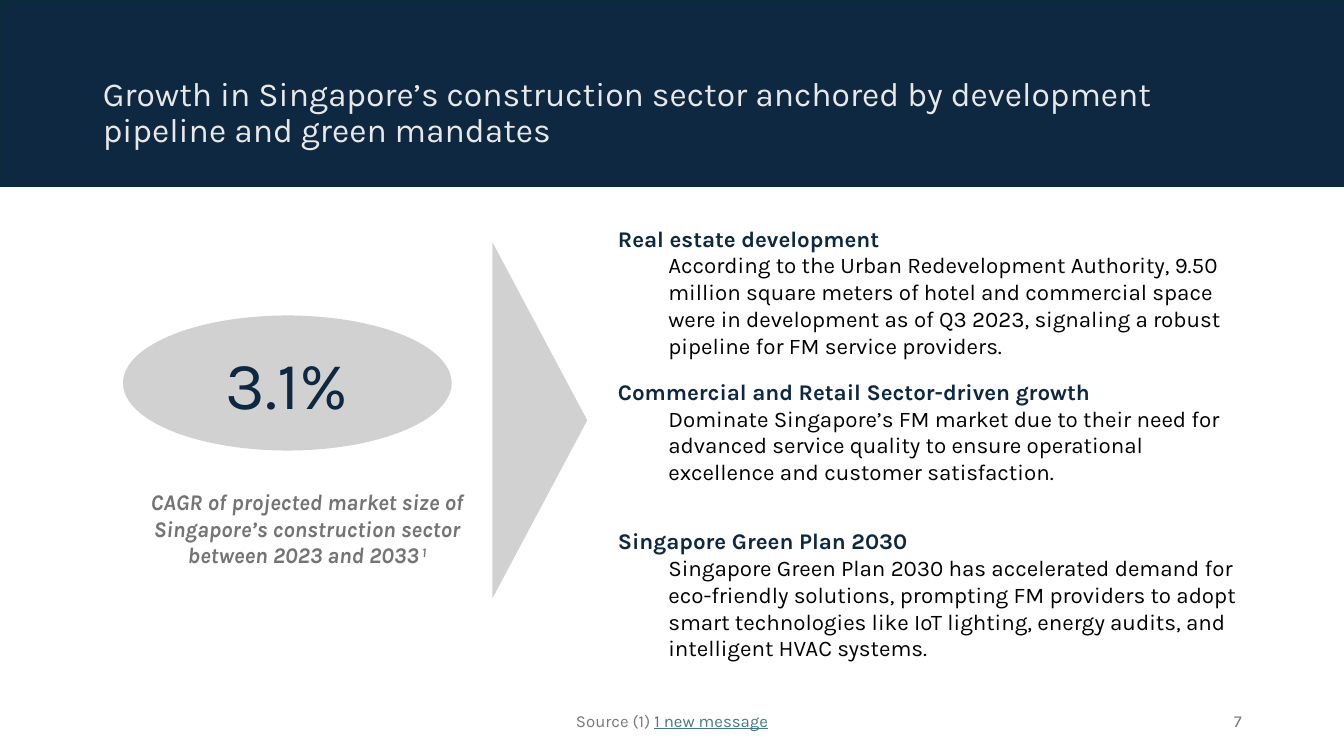
"""Build a slide on the growth drivers of Singapore's construction sector."""
from pptx import Presentation
from pptx.dml.color import RGBColor
from pptx.enum.shapes import MSO_SHAPE
from pptx.enum.text import MSO_ANCHOR, MSO_AUTO_SIZE, PP_ALIGN
from pptx.util import Inches, Pt

NAVY = RGBColor(0x0E, 0x28, 0x41)
BAND_EDGE = RGBColor(0x09, 0x2A, 0x39)
PALE = RGBColor(0xE8, 0xE8, 0xE8)
SILVER = RGBColor(0xD1, 0xD1, 0xD1)
CAPTION_GREY = RGBColor(0x74, 0x74, 0x74)
FOOTER_GREY = RGBColor(0x79, 0x79, 0x79)
LINK_TEAL = RGBColor(0x46, 0x78, 0x86)
BLACK = RGBColor(0, 0, 0)
RECTANGLE, OVAL, TRIANGLE = MSO_SHAPE.RECTANGLE, MSO_SHAPE.OVAL, MSO_SHAPE.ISOSCELES_TRIANGLE
LEFT, CENTER, RIGHT = PP_ALIGN.LEFT, PP_ALIGN.CENTER, PP_ALIGN.RIGHT
MIDDLE, TOP = MSO_ANCHOR.MIDDLE, MSO_ANCHOR.TOP
FIXED = MSO_AUTO_SIZE.NONE

deck = Presentation()
deck.slide_width, deck.slide_height = Inches(13.33), Inches(7.5)
page = deck.slides.add_slide(deck.slide_layouts[5])


def area(left, top, width, height):
    """Turn percentages of the slide into lengths."""
    sides = (deck.slide_width, deck.slide_height) * 2
    return [int(side * share / 100) for side, share in zip(sides, (left, top, width, height))]


def add_span(para, text, size, colour, bold=False):
    """Append a formatted run to a paragraph."""
    span = para.add_run()
    span.text = text
    span.font.name, span.font.size, span.font.bold = "Karla", Pt(size), bold
    span.font.color.rgb = colour
    return span


title = page.shapes.title
title.left, title.top, title.width, title.height = area(6.9, 5.33, 86.25, 19.33)
title.text_frame.auto_size = FIXED
title.text_frame.vertical_anchor = MIDDLE
title_para = title.text_frame.paragraphs[0]
title_para.alignment, title_para.line_spacing = LEFT, 0.9
add_span(title_para, "Growth in Singapore’s construction sector anchored by "
         "development pipeline and green mandates", 24, PALE)

figures = {}
for name, kind, place, fill in (
    ("band", RECTANGLE, (0, 0, 100, 24.67), NAVY),
    ("arrow", TRIANGLE, (26.93, 49.33, 26.48, 12.53), SILVER),
    ("growth", OVAL, (9.15, 41.73, 24.46, 17.87), SILVER),
):
    figure = page.shapes.add_shape(kind, *area(*place))
    figure.shadow.inherit = False
    figure.fill.solid()
    figure.fill.fore_color.rgb = fill
    figure.line.fill.background()
    figures[name] = figure

figures["band"].line.color.rgb = BAND_EDGE
figures["band"].line.width = Pt(1.5)
title.element.addprevious(figures["band"].element)
figures["arrow"].rotation = 90
figures["growth"].text_frame.vertical_anchor = MIDDLE
growth_para = figures["growth"].text_frame.paragraphs[0]
growth_para.alignment = CENTER
add_span(growth_para, "3.1%", 48, NAVY)

labels = []
for place, align, anchor in (
    ((9.83, 63.87, 26.03, 12.13), CENTER, TOP),
    ((33.13, 92.67, 33.75, 5.33), CENTER, MIDDLE),
    ((70.63, 92.67, 22.5, 5.33), RIGHT, MIDDLE),
):
    frame = page.shapes.add_textbox(*area(*place)).text_frame
    frame.word_wrap, frame.vertical_anchor = True, anchor
    frame.paragraphs[0].alignment = align
    labels.append(frame.paragraphs[0])
caption, source, number = labels

for text in ("CAGR of projected market size of Singapore’s construction sector "
             "between 2023 and 2033", " 1"):
    span = add_span(caption, text, 16, CAPTION_GREY, True)
    span.font.italic = True
span.font._element.set("baseline", "30000")

add_span(source, "Source (1) ", 12, FOOTER_GREY)
add_span(source, "1 new message", 12, LINK_TEAL).font.underline = True
add_span(number, "7", 12, FOOTER_GREY)

drivers = (
    (29.07, 48.31, 10.27, "Real estate development",
     "According to the Urban Redevelopment Authority, 9.50 million square meters of hotel "
     "and commercial space were in development as of Q3 2023, signaling a robust pipeline "
     "for FM service providers."),
    (49.33, 48.31, 10.27, "Commercial and Retail Sector-driven growth",
     "Dominate Singapore’s FM market due to their need for advanced service quality to "
     "ensure operational excellence and customer satisfaction."),
    (69.07, 50.11, 19.33, "Singapore Green Plan 2030",
     "Singapore Green Plan 2030 has accelerated demand for eco-friendly solutions, prompting "
     "FM providers to adopt smart technologies like IoT lighting, energy audits, and "
     "intelligent HVAC systems."),
)
for top, width, height, heading, detail in drivers:
    frame = page.shapes.add_textbox(*area(45.24, top, width, height)).text_frame
    frame.word_wrap = True
    add_span(frame.paragraphs[0], heading, 16, NAVY, True)
    para = frame.add_paragraph()
    para.level = 1
    add_span(para, detail, 16, BLACK)

deck.save("out.pptx")
